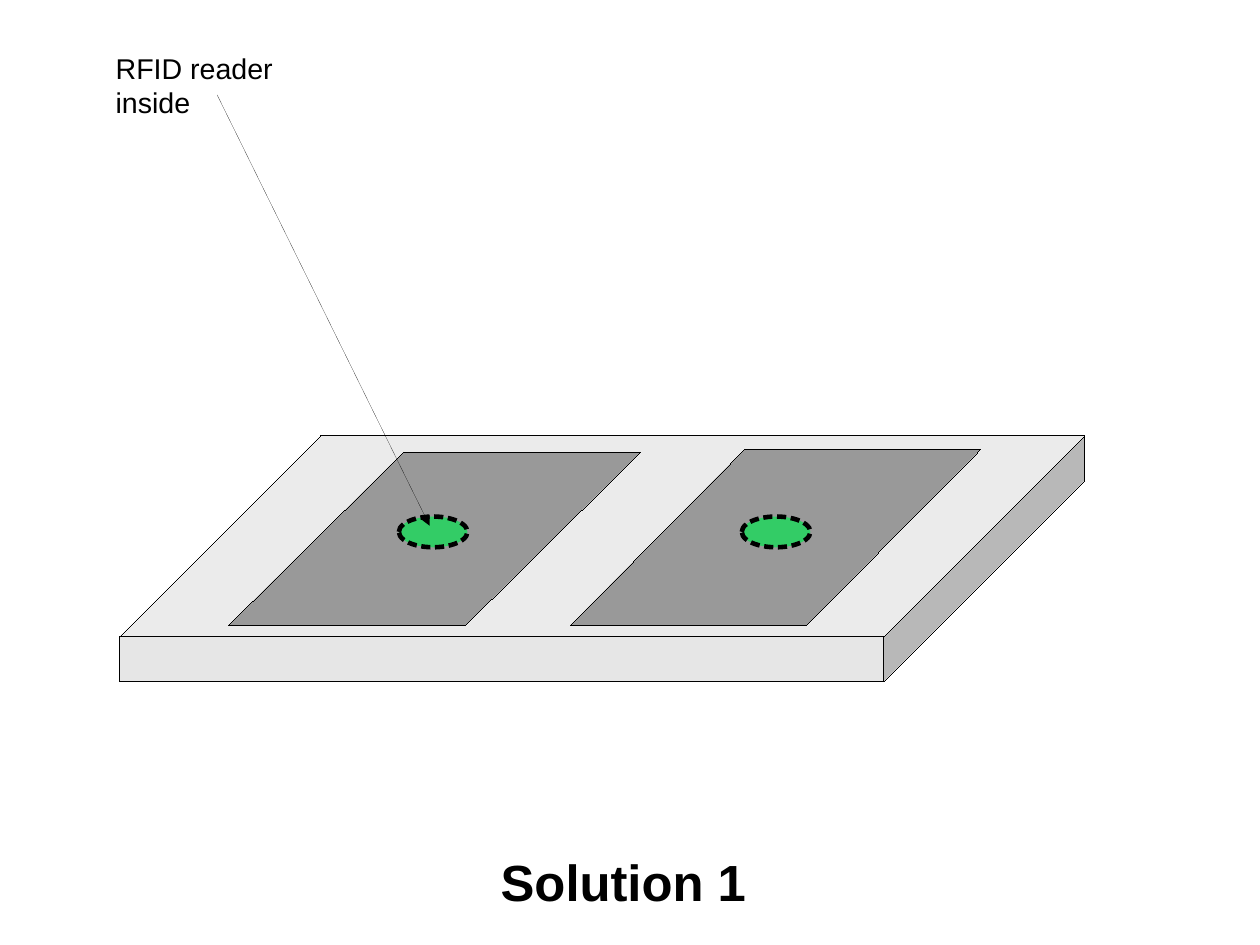
import dataclasses

import lxml.etree
import pptx
import pptx.dml.color
import pptx.enum.shapes
import pptx.enum.text
import pptx.oxml.ns
import pptx.util

Pt = pptx.util.Pt
Shapes = pptx.enum.shapes.MSO_SHAPE

COLOURS = {"ink": "000000", "board": "E6E6E6", "pad": "999999", "reader": "33CC66"}
FONT = "Arial"
HAIRLINE = 0.01  # a width of 0 would fall back to the theme's line


@dataclasses.dataclass(frozen=True)
class Part:
    preset: Shapes
    left: float
    top: float
    width: float
    height: float
    fill: str
    slant: float | None = None
    line_width: float = HAIRLINE
    dashed: bool = False


def colour(name: str) -> pptx.dml.color.RGBColor:
    return pptx.dml.color.RGBColor.from_string(COLOURS[name])


def add_element(parent, tag: str, **attributes: str):
    element = lxml.etree.SubElement(parent, pptx.oxml.ns.qn(tag))
    for name, value in attributes.items():
        element.set(name, value)
    return element


def draw_part(page, part: Part) -> None:
    shape = page.shapes.add_shape(
        part.preset, Pt(part.left), Pt(part.top), Pt(part.width), Pt(part.height))
    shape.shadow.inherit = False
    if part.slant is not None:
        shape.adjustments[0] = part.slant
    shape.fill.solid()
    shape.fill.fore_color.rgb = colour(part.fill)
    shape.line.color.rgb = colour("ink")
    shape.line.width = Pt(part.line_width)
    if part.dashed:
        dashes = add_element(shape.line._get_or_add_ln(), "a:custDash")
        add_element(dashes, "a:ds", d="200000", sp="100000")


def write_text(box, lines: list[str], size: float, bold: bool, alignment) -> None:
    frame = box.text_frame
    frame.text = "\n".join(lines)
    frame.word_wrap = False
    frame.auto_size = pptx.enum.text.MSO_AUTO_SIZE.SHAPE_TO_FIT_TEXT
    frame.vertical_anchor = pptx.enum.text.MSO_ANCHOR.TOP
    for para in frame.paragraphs:
        para.alignment = alignment
        para.font.name = FONT
        para.font.size = Pt(size)
        para.font.bold = bold
        para.font.color.rgb = colour("ink")


def draw_arrow(page, start: tuple[float, float], end: tuple[float, float]) -> None:
    arrow = page.shapes.add_connector(
        pptx.enum.shapes.MSO_CONNECTOR.STRAIGHT, *map(Pt, start + end))
    arrow.line.color.rgb = colour("ink")
    arrow.line.width = Pt(HAIRLINE)
    add_element(arrow.line._get_or_add_ln(), "a:tailEnd", type="triangle")
    add_element(arrow._element.spPr, "a:effectLst")


# The board, then each pad with its reader on top
PARTS = [
    Part(Shapes.CUBE, 75.6, 274.3, 607.7, 154.8, "board", 0.817),
    Part(Shapes.PARALLELOGRAM, 144, 285.1, 259.2, 108.7, "pad", 1.011),
    Part(Shapes.OVAL, 251.3, 325.4, 43.2, 19.4, "reader", line_width=2.89, dashed=True),
    Part(Shapes.PARALLELOGRAM, 359.3, 283, 258.5, 110.9, "pad", 0.99),
    Part(Shapes.OVAL, 467.3, 325.4, 43.2, 19.4, "reader", line_width=2.89, dashed=True),
]


def main() -> None:
    deck = pptx.Presentation()
    deck.slide_width, deck.slide_height = Pt(793.7), Pt(595.28)
    page = deck.slides.add_slide(deck.slide_layouts.get_by_name("Title Only"))

    for part in PARTS:
        draw_part(page, part)

    # Label and its pointer
    label = page.shapes.add_textbox(Pt(65.8), Pt(28.4), Pt(116), Pt(47.5))
    write_text(label, ["RFID reader", "inside"], 18, False, pptx.enum.text.PP_ALIGN.LEFT)
    draw_arrow(page, (136.8, 59.8), (270.7, 331.2))

    # Title below the drawing
    title = page.shapes.title
    title.left, title.top, title.width, title.height = map(Pt, (306.2, 532.4, 173.2, 43.2))
    write_text(title, ["Solution 1"], 32, True, pptx.enum.text.PP_ALIGN.CENTER)

    deck.save("out.pptx")


if __name__ == "__main__":
    main()
